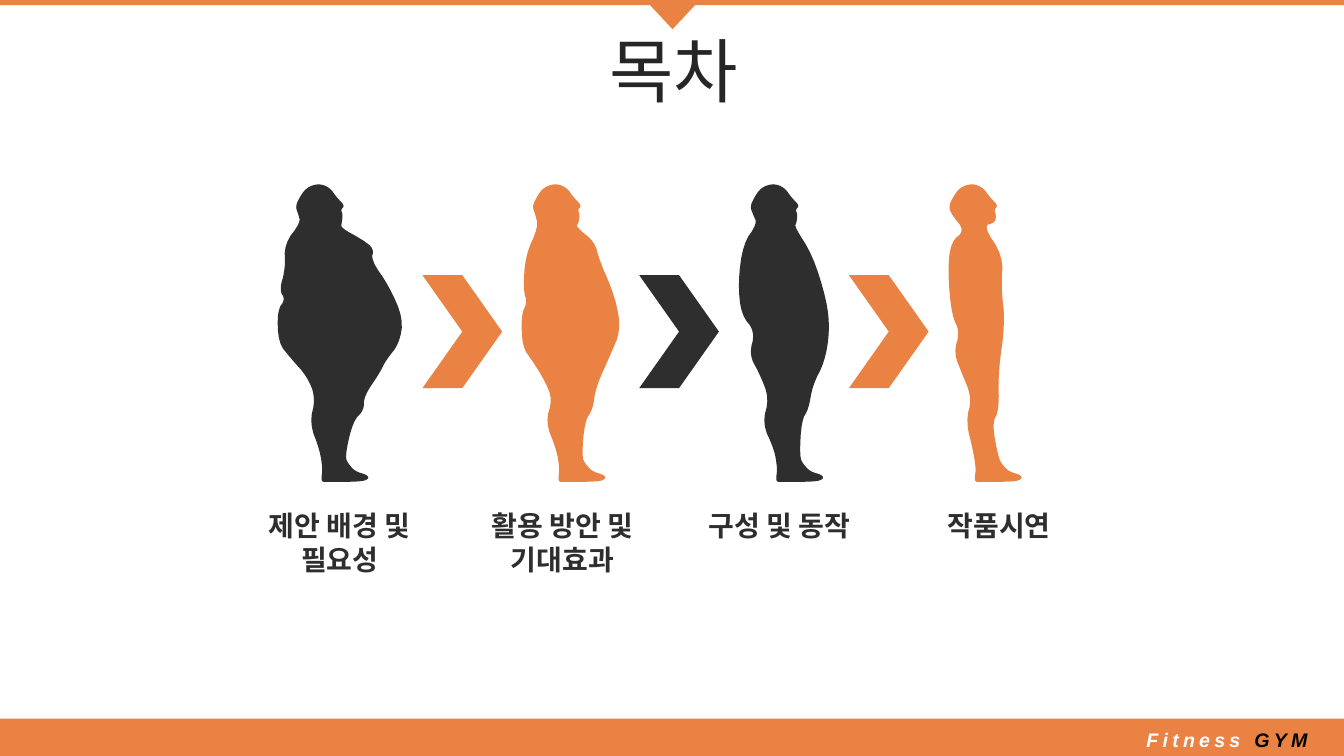
from dataclasses import dataclass

from pptx import Presentation
from pptx.dml.color import RGBColor
from pptx.enum.shapes import MSO_SHAPE
from pptx.enum.text import MSO_ANCHOR, PP_ALIGN
from pptx.shapes.autoshape import Shape
from pptx.slide import Slide
from pptx.util import Inches, Pt

Outline = list[tuple[float, float]]


@dataclass(frozen=True)
class Theme:
    orange: str = "EA8244"
    charcoal: str = "2E2E2E"
    title_ink: str = "262626"
    white: str = "FFFFFF"
    black: str = "000000"
    font: str = "Arial"
    title_size: int = 50
    label_size: int = 20
    brand_size: int = 14
    brand_spacing: int = 3


THEME = Theme()


@dataclass(frozen=True)
class Frame:
    left: float
    top: float
    width: float
    height: float


@dataclass(frozen=True)
class Span:
    text: str
    size: int
    color: str
    bold: bool = False
    italic: bool = False
    spacing: int = 0


@dataclass(frozen=True)
class Block:
    kind: MSO_SHAPE
    frame: Frame
    color: str
    rotation: int = 0


@dataclass(frozen=True)
class Silhouette:
    """A figure whose head and foot are shared, shifted right by left."""
    left: float
    color: str
    front: Outline
    back: Outline


@dataclass(frozen=True)
class Label:
    text: str
    frame: Frame


BANDS = (
    Block(MSO_SHAPE.ISOSCELES_TRIANGLE, Frame(6.4, 0, 0.54, 0.29), THEME.orange, 180),
    Block(MSO_SHAPE.RECTANGLE, Frame(0, 0, 13.33, 0.05), THEME.orange),
    Block(MSO_SHAPE.RECTANGLE, Frame(0, 7.13, 13.33, 0.37), THEME.orange),
)

CHEVRONS = tuple(
    Block(MSO_SHAPE.CHEVRON, Frame(left, 2.73, 0.79, 1.12), color)
    for left, color in ((4.19, THEME.orange), (6.34, THEME.charcoal), (8.42, THEME.orange))
)

LABELS = (
    Label("제안 배경 및 필요성", Frame(2.46, 5, 1.82, 0.77)),
    Label("활용 방안 및 기대효과", Frame(4.61, 5, 1.94, 0.77)),
    Label("구성 및 동작", Frame(6.82, 5, 1.82, 0.44)),
    Label("작품시연", Frame(9, 5, 1.82, 0.44)),
)

HEAD: Outline = [(0.06, 2.13), (0.03, 2.05), (0.07, 1.96), (0.14, 1.86), (0.26, 1.82), (0.37, 1.86),
                 (0.44, 1.96), (0.52, 2.04), (0.48, 2.08), (0.5, 2.13), (0.49, 2.21)]
FOOT: Outline = [(0.52, 4.53), (0.56, 4.61), (0.63, 4.68), (0.74, 4.71), (0.76, 4.75), (0.68, 4.78),
                 (0.34, 4.78), (0.29, 4.78), (0.29, 4.72), (0.3, 4.65), (0.27, 4.46)]

SILHOUETTES = (
    Silhouette(2.9, THEME.charcoal,
               [(3.38, 2.26), (3.6, 2.38), (3.71, 2.47), (3.68, 2.58), (3.86, 2.84), (4, 3.16),
                (3.96, 3.41), (3.83, 3.57), (3.76, 3.71), (3.61, 3.93), (3.61, 4.07), (3.5, 4.18)],
               [(3.07, 4.2), (3.13, 3.95), (3.05, 3.74), (2.88, 3.55), (2.76, 3.4), (2.75, 3.08),
                (2.83, 2.97), (2.77, 2.88), (2.83, 2.67), (2.82, 2.42), (2.98, 2.21)]),
    Silhouette(5.25, THEME.orange,
               [(5.71, 2.25), (5.9, 2.4), (5.94, 2.57), (6.1, 2.94), (6.16, 3.27), (6.05, 3.53),
                (5.91, 3.84), (5.88, 4.06), (5.8, 4.18)],
               [(5.41, 4.19), (5.48, 3.96), (5.4, 3.77), (5.28, 3.58), (5.18, 3.44), (5.17, 3.12),
                (5.23, 3), (5.19, 2.88), (5.21, 2.54), (5.34, 2.25)]),
    Silhouette(7.41, THEME.charcoal,
               [(7.88, 2.25), (8.06, 2.53), (8.2, 2.98), (8.23, 3.28), (8.18, 3.59), (8.06, 3.82),
                (8.02, 4.06), (7.95, 4.17)],
               [(7.56, 4.2), (7.63, 3.95), (7.53, 3.7), (7.43, 3.52), (7.49, 3.29), (7.35, 3.12),
                (7.32, 2.8), (7.37, 2.42), (7.51, 2.22)]),
    Silhouette(9.38, THEME.orange,
               [(9.75, 2.24), (9.95, 2.54), (9.93, 2.85), (9.97, 3.2), (9.9, 3.7), (9.91, 4.07),
                (9.84, 4.2)],
               [(9.58, 4.18), (9.64, 3.95), (9.54, 3.7), (9.46, 3.5), (9.52, 3.29), (9.44, 3.13),
                (9.4, 2.7), (9.43, 2.4), (9.57, 2.29)]),
)


def soften(outline: Outline) -> Outline:
    """Cut every corner of a closed outline at a quarter of its sides."""
    softened: Outline = []
    for (x1, y1), (x2, y2) in zip(outline, outline[1:] + outline[:1]):
        for share in (0.25, 0.75):
            softened.append((x1 + (x2 - x1) * share, y1 + (y2 - y1) * share))
    return softened


def paint(shape: Shape, color: str) -> None:
    shape.shadow.inherit = False
    shape.fill.solid()
    shape.fill.fore_color.rgb = RGBColor.from_string(color)
    shape.line.fill.background()


def add_block(page: Slide, block: Block) -> None:
    frame = block.frame
    shape = page.shapes.add_shape(block.kind, Inches(frame.left), Inches(frame.top),
                                  Inches(frame.width), Inches(frame.height))
    shape.rotation = block.rotation
    paint(shape, block.color)


def add_silhouette(page: Slide, figure: Silhouette) -> None:
    head, foot = ([(figure.left + x, y) for x, y in part] for part in (HEAD, FOOT))
    outline = soften(soften(head + figure.front + foot + figure.back))
    start, *rest = [(Inches(x), Inches(y)) for x, y in outline]
    builder = page.shapes.build_freeform(*start)
    builder.add_line_segments(rest, close=True)
    paint(builder.convert_to_shape(), figure.color)


def add_text(page: Slide, frame: Frame, spans: list[Span],
             anchor: MSO_ANCHOR = MSO_ANCHOR.TOP, line_spacing: float = 1.0) -> None:
    box = page.shapes.add_textbox(Inches(frame.left), Inches(frame.top),
                                  Inches(frame.width), Inches(frame.height))
    box.text_frame.word_wrap = True
    box.text_frame.vertical_anchor = anchor
    para = box.text_frame.paragraphs[0]
    para.alignment = PP_ALIGN.CENTER
    para.line_spacing = line_spacing
    for span in spans:
        run = para.add_run()
        run.text = span.text
        run.font.name = THEME.font
        run.font.size = Pt(span.size)
        run.font.bold = span.bold
        run.font.italic = span.italic
        run.font.color.rgb = RGBColor.from_string(span.color)
        if span.spacing:
            run._r.get_or_add_rPr().set("spc", str(span.spacing * 100))


def main() -> None:
    deck = Presentation()
    deck.slide_width, deck.slide_height = Inches(13.33), Inches(7.5)
    page = deck.slides.add_slide(deck.slide_layouts[6])
    for band in BANDS:
        add_block(page, band)
    brand = [Span(text, THEME.brand_size, color, True, True, THEME.brand_spacing)
             for text, color in (("Fitness ", THEME.white), ("GYM", THEME.black))]
    add_text(page, Frame(11.24, 7.11, 1.86, 0.45), brand, MSO_ANCHOR.MIDDLE)
    add_text(page, Frame(0.35, 0.37, 12.66, 0.79),
             [Span("목차", THEME.title_size, THEME.title_ink)], MSO_ANCHOR.MIDDLE, 0.8)
    for figure in SILHOUETTES:
        add_silhouette(page, figure)
    for chevron in CHEVRONS:
        add_block(page, chevron)
    for label in LABELS:
        add_text(page, label.frame, [Span(label.text, THEME.label_size, THEME.charcoal, True)])
    deck.save("out.pptx")


if __name__ == "__main__":
    main()
